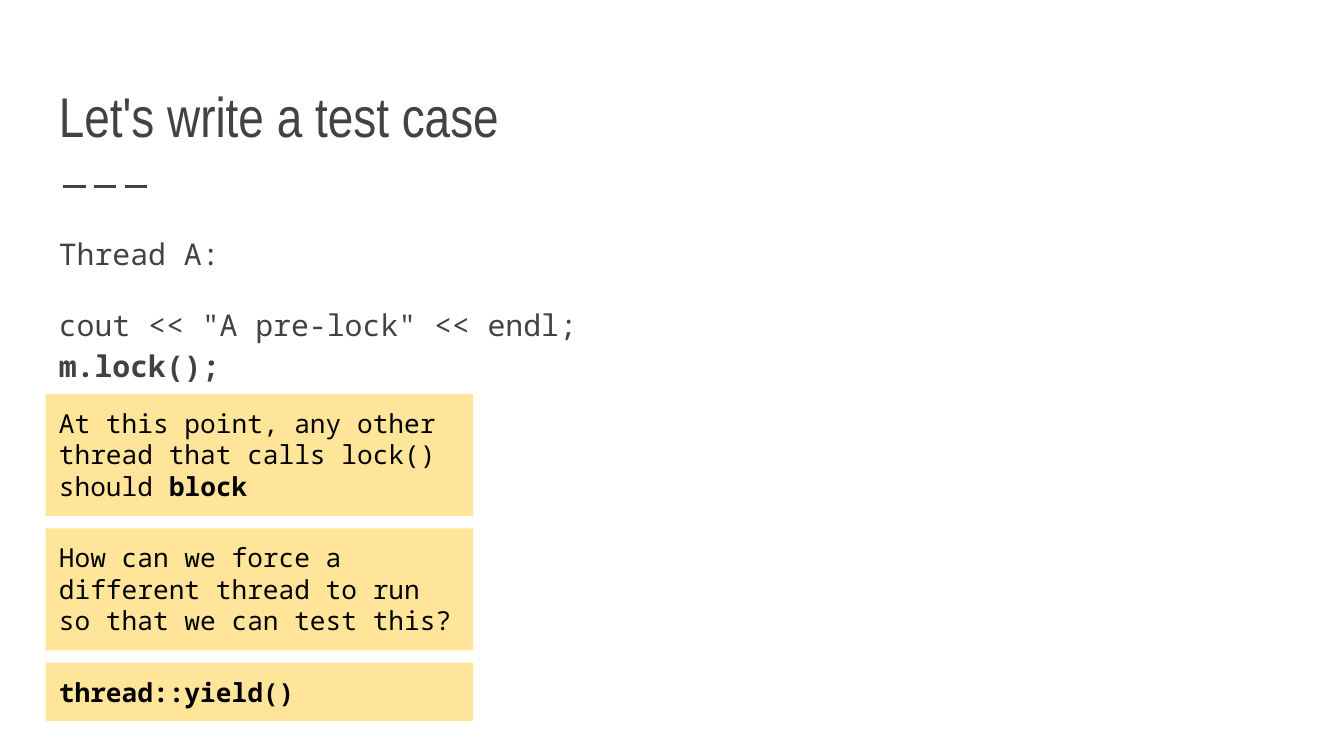
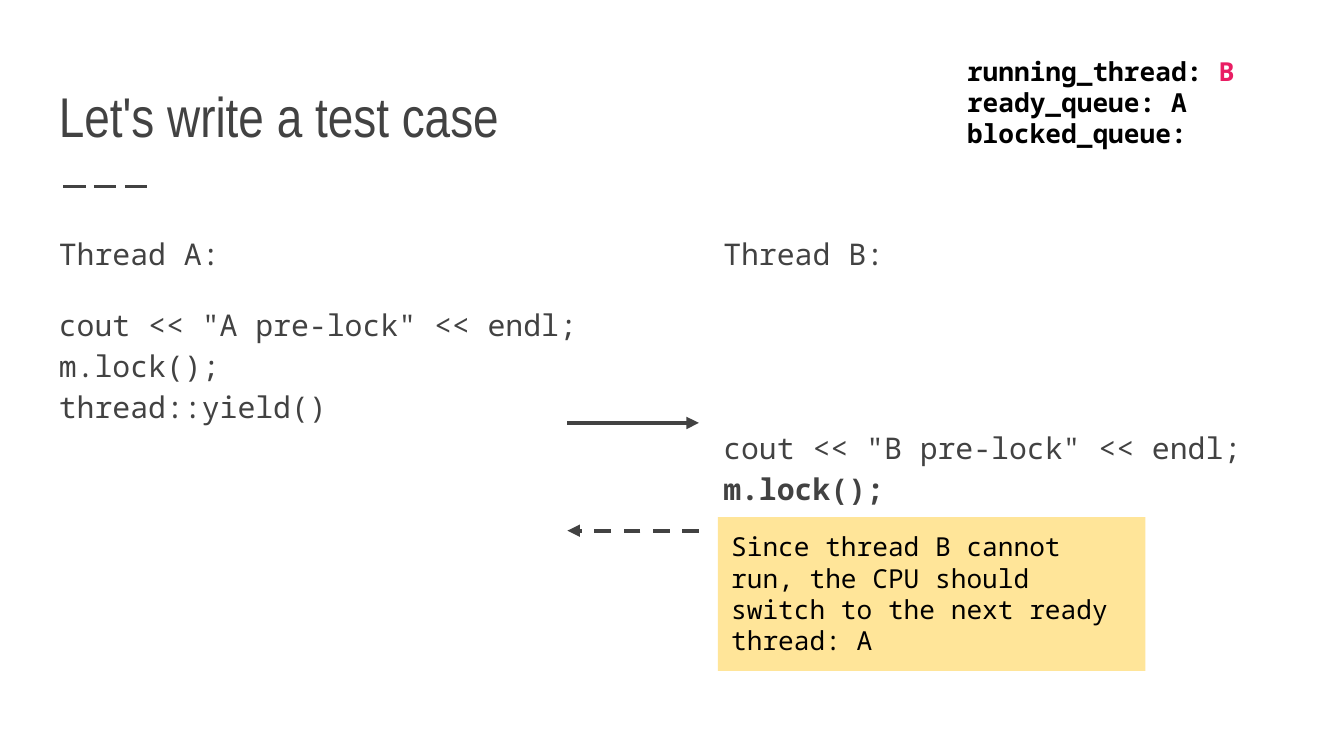
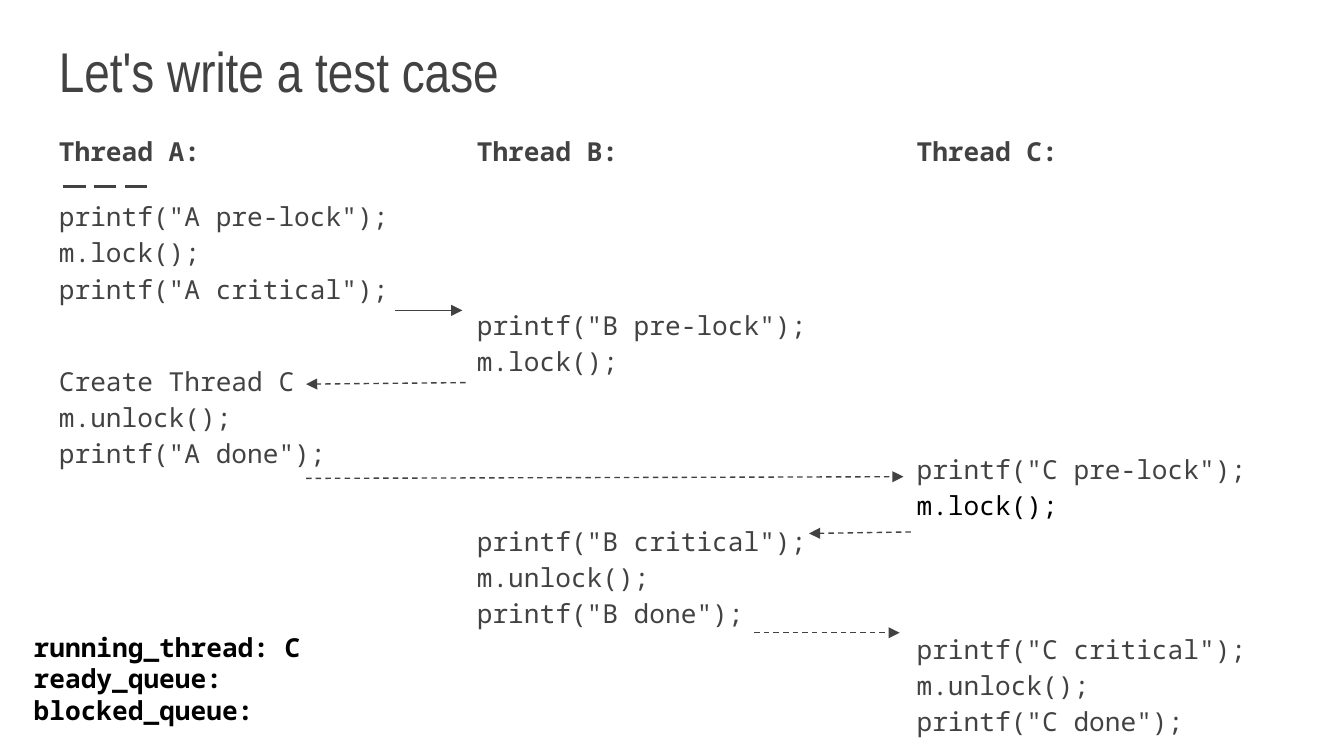
from collections import namedtuple

from lxml import etree
from pptx import Presentation
from pptx.dml.color import RGBColor
from pptx.enum import dml, shapes, text
from pptx.oxml import ns
from pptx.util import Pt

INK = RGBColor(0x42, 0x42, 0x42)
BLACK = RGBColor(0, 0, 0)
PINK = RGBColor(0xE9, 0x1D, 0x63)
NOTE_FILL = RGBColor(0xFF, 0xE5, 0x99)

TITLE_FONT = "Arial Narrow"
CODE_FONT = "Noto Sans Mono"
TITLE = "Let's write a test case"

SLIDE_WIDTH, SLIDE_HEIGHT = 720, 405
MARGIN = 24.5
INSET = 7.2
LINE_SPACING = 1.15
LINE_PITCH = 1.38
HEADING_GAP = 16
SMALL_SIZE, CODE_SIZE = 14, 16
SMALL_ROW, CODE_ROW = SMALL_SIZE * LINE_PITCH, CODE_SIZE * LINE_PITCH
NOTE_WIDTH, NOTE_ROW, NOTE_GAP = 229, 17, 6.6

Box = namedtuple("Box", "left top width height")
Block = namedtuple("Block", "gap lines")


def lengths(box):
    return [Pt(value) for value in box]


def format_run(run, size, color, bold=False, name=CODE_FONT):
    run.font.name = name
    run.font.size = Pt(size)
    run.font.bold = bold
    run.font.color.rgb = color


def write_lines(shape, lines, size, color, bold=False, name=CODE_FONT):
    frame = shape.text_frame
    frame.word_wrap = True
    frame.vertical_anchor = text.MSO_ANCHOR.TOP
    frame.margin_left = frame.margin_right = Pt(INSET)
    frame.margin_top = frame.margin_bottom = Pt(INSET)
    frame.text = "\n".join(lines)
    for paragraph in frame.paragraphs:
        paragraph.alignment = text.PP_ALIGN.LEFT
        for run in paragraph.runs:
            format_run(run, size, color, bold, name)
    return frame


def append_run(paragraph, words, color):
    run = paragraph.add_run()
    run.text = words
    format_run(run, SMALL_SIZE, color, bold=True)


def add_line(slide, start, end, weight, dash=None):
    points = [Pt(value) for value in (*start, *end)]
    line = slide.shapes.add_connector(shapes.MSO_CONNECTOR.STRAIGHT, *points)
    line.line.color.rgb = INK
    line.line.width = Pt(weight)
    if dash:
        line.line.dash_style = dash
    etree.SubElement(line._element.spPr, ns.qn("a:effectLst"))
    return line


def add_arrow(slide, start, end, weight, dashed=True):
    dash = dml.MSO_LINE.DASH if dashed else None
    arrow = add_line(slide, start, end, weight, dash)
    outline = arrow.line._get_or_add_ln()
    etree.SubElement(outline, ns.qn("a:tailEnd"), type="triangle")


def add_titled_slide(presentation, title_top):
    slide = presentation.slides.add_slide(presentation.slide_layouts[6])
    add_line(slide, (33.8, 100), (82.1, 100), 1.5, dml.MSO_LINE.LONG_DASH)
    title_box = Box(MARGIN, title_top, SLIDE_WIDTH - 2 * MARGIN, 57.6)
    title = slide.shapes.add_textbox(*lengths(title_box))
    frame = write_lines(title, [TITLE], 30, INK, name=TITLE_FONT)
    frame.vertical_anchor = text.MSO_ANCHOR.BOTTOM
    return slide


def add_thread(slide, box, size, heading, blocks, bold_heading=False):
    lines = [heading] + [line for block in blocks for line in block.lines]
    column = slide.shapes.add_textbox(*lengths(box))
    frame = write_lines(column, lines, size, INK)
    paragraphs = frame.paragraphs
    paragraphs[0].runs[0].font.bold = bold_heading
    for paragraph in paragraphs:
        paragraph.line_spacing = LINE_SPACING
    first = 1
    for block in blocks:
        paragraphs[first].space_before = Pt(round(block.gap, 1))
        first += len(block.lines)
    return paragraphs


def add_note(slide, left, top, words, rows, bold=False):
    box = Box(left, top, NOTE_WIDTH, 2 * INSET + rows * NOTE_ROW)
    note = slide.shapes.add_shape(shapes.MSO_SHAPE.RECTANGLE, *lengths(box))
    note.shadow.inherit = False
    note.fill.solid()
    note.fill.fore_color.rgb = NOTE_FILL
    note.line.fill.background()
    frame = write_lines(note, [words], SMALL_SIZE, BLACK, bold)
    return frame.paragraphs[0], top + box.height + NOTE_GAP


def add_scheduler_state(slide, box, lines):
    state = slide.shapes.add_textbox(*lengths(box))
    return write_lines(state, lines, SMALL_SIZE, BLACK, bold=True).paragraphs


def build_lock_question(presentation):
    slide = add_titled_slide(presentation, 29.5)
    thread = add_thread(slide, Box(MARGIN, 116, 314.6, 244), CODE_SIZE, "Thread A:", [
        Block(HEADING_GAP, ['cout << "A pre-lock" << endl;', "m.lock();"]),
    ])
    thread[-1].runs[0].font.bold = True
    point, top = add_note(
        slide, MARGIN, 211,
        "At this point, any other thread that calls lock() should ", 3)
    append_run(point, "block", BLACK)
    _, top = add_note(
        slide, MARGIN, top,
        "How can we force a different thread to run so that we can test this?", 3)
    add_note(slide, MARGIN, top, "thread::yield()", 1, bold=True)


def build_two_threads(presentation):
    slide = add_titled_slide(presentation, 29.5)
    left_box = Box(MARGIN, 116, 314.6, 244)
    right_box = left_box._replace(left=380.4)
    add_thread(slide, left_box, CODE_SIZE, "Thread A:", [
        Block(HEADING_GAP, ['cout << "A pre-lock" << endl;', "m.lock();", "thread::yield()"]),
    ])
    thread = add_thread(slide, right_box, CODE_SIZE, "Thread B:", [
        Block(HEADING_GAP + 3 * CODE_ROW, ['cout << "B pre-lock" << endl;', "m.lock();"]),
    ])
    thread[-1].runs[0].font.bold = True
    near, far = 304, right_box.left - 6
    add_arrow(slide, (near, 226.6), (far, 226.6), 2.25, dashed=False)
    add_arrow(slide, (far, 284.3), (near, 284.3), 2.25)
    add_note(
        slide, 384.6, 277,
        "Since thread B cannot run, the CPU should switch to the next ready thread: A", 4)
    state = add_scheduler_state(
        slide, Box(511, 22.3, 194.4, 65.4),
        ["running_thread: ", "ready_queue: A", "blocked_queue:"])
    append_run(state[0], "B", PINK)


def build_three_threads(presentation):
    slide = add_titled_slide(presentation, 5)
    threads = [
        (MARGIN, "A", [
            Block(HEADING_GAP, ['printf("A pre-lock");', "m.lock();", 'printf("A critical");']),
            Block(SMALL_ROW + 8 * LINE_PITCH,
                  ["Create Thread C", "m.unlock();", 'printf("A done");']),
        ]),
        (248.4, "B", [
            Block(HEADING_GAP + 3 * SMALL_ROW, ['printf("B pre-lock");', "m.lock();"]),
            Block(4 * SMALL_ROW, ['printf("B critical");', "m.unlock();", 'printf("B done");']),
        ]),
        (484, "C", [
            Block(HEADING_GAP + 7 * SMALL_ROW, ['printf("C pre-lock");', "m.lock();"]),
            Block(3 * SMALL_ROW, ['printf("C critical");', "m.unlock();", 'printf("C done");']),
        ]),
    ]
    for left, name, blocks in threads:
        paragraphs = add_thread(
            slide, Box(left, 62.6, 236, 342), SMALL_SIZE,
            f"Thread {name}:", blocks, bold_heading=True)
    paragraphs[2].runs[0].font.color.rgb = BLACK

    add_arrow(slide, (211.7, 166.3), (247.7, 166.3), 0.75, dashed=False)
    switches = [
        ((249.4, 205), (164, 205.8)),
        ((164, 256.3), (484, 255.4)),
        ((404, 339), (482, 339)),
        ((488, 285), (433.4, 285.8)),
    ]
    for start, end in switches:
        add_arrow(slide, start, end, 0.75)
    add_scheduler_state(
        slide, Box(11, 331, 307.4, 65.4),
        ["running_thread: C", "ready_queue:", "blocked_queue:"])


def main():
    presentation = Presentation()
    presentation.slide_width = Pt(SLIDE_WIDTH)
    presentation.slide_height = Pt(SLIDE_HEIGHT)
    build_lock_question(presentation)
    build_two_threads(presentation)
    build_three_threads(presentation)
    presentation.save("out.pptx")


if __name__ == "__main__":
    main()
